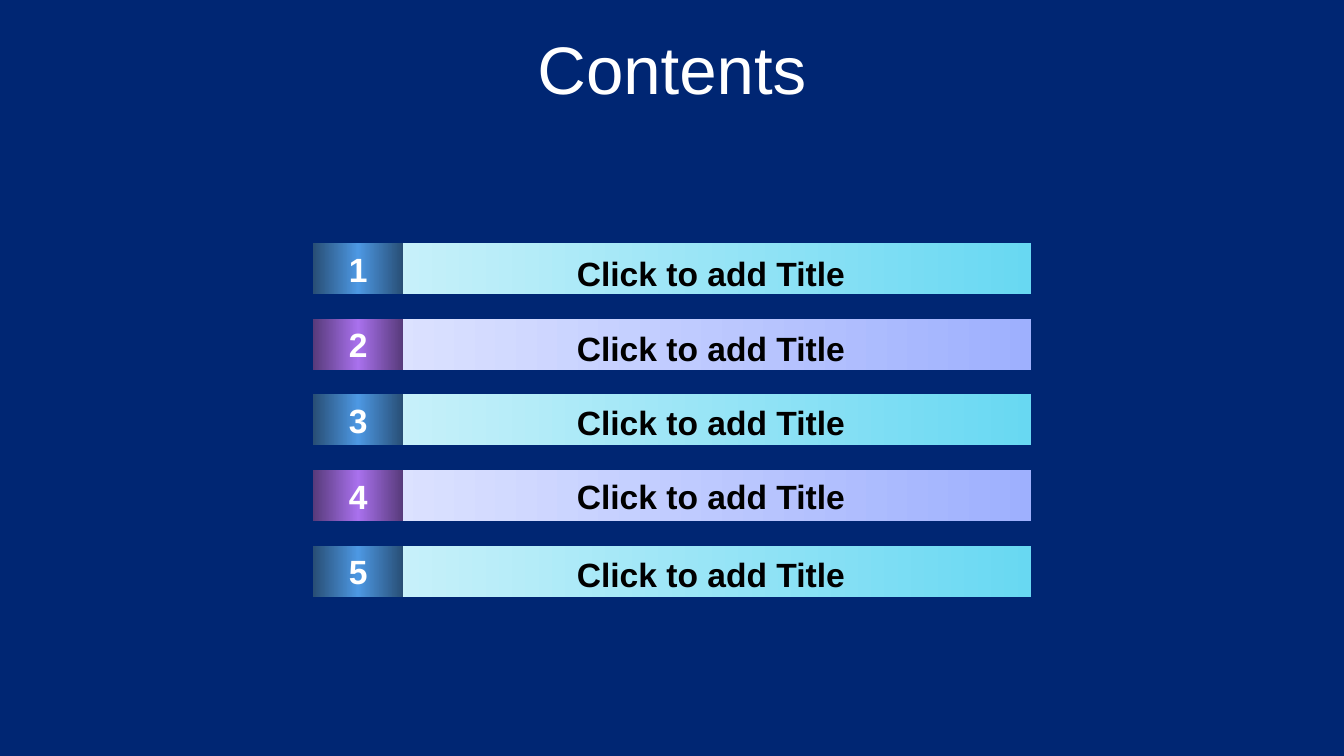
from copy import deepcopy

from pptx import Presentation
from pptx.dml.color import RGBColor
from pptx.enum.shapes import MSO_SHAPE
from pptx.enum.text import MSO_ANCHOR, MSO_AUTO_SIZE, PP_ALIGN
from pptx.oxml.ns import qn
from pptx.util import Inches, Pt

RECT = MSO_SHAPE.RECTANGLE
MIDDLE = MSO_ANCHOR.MIDDLE
CENTER = PP_ALIGN.CENTER
GROW = MSO_AUTO_SIZE.SHAPE_TO_FIT_TEXT

FONT = "Arial"
WIDE = 10
TALL = WIDE * 9 / 16
TOP, STEP, HIGH = 1.81, 2.25 / 4, 0.38
# Bar and badge gradients, taken in turn
THEMES = [
    (["C8F1FA", "68D8F2"], ["284E75", "4D98E3", "284E75"]),
    (["DCE2FF", "9EB0FE"], ["573A7A", "A971ED", "573A7A"]),
]
# Text and top of each label
ITEMS = [
    ("Click to add Title", 1.83),
    ("Click to add Title", 2.39),
    ("Click to add Title", 2.94),
    ("Click to add Title", 3.49),
    ("Click to add Title", 4.07),
]


def color(code):
    return RGBColor.from_string(code)


def box(left, top, width, height):
    return [Inches(n) for n in (left, top, width, height)]


def write(frame, text, size, code, bold):
    frame.text = text
    para = frame.paragraphs[0]
    para.alignment = CENTER
    font = para.runs[0].font
    font.name, font.size, font.bold = FONT, Pt(size), bold
    font.color.rgb = color(code)


def add_title(slide, text):
    title = slide.shapes.title
    title.left, title.top, title.width, title.height = box(0, 0.19, WIDE, 0.62)
    write(title.text_frame, text, 36, "FFFFFF", False)
    title.text_frame.vertical_anchor = MIDDLE


def blend(shape, codes):
    """Fill from left to right with evenly spaced colours."""
    fill = shape.fill
    fill.gradient()
    fill.gradient_angle = 0
    stops = shape.element.spPr.find(".//" + qn("a:gsLst"))
    while len(stops) < len(codes):
        stops.append(deepcopy(stops[-1]))
    for i, (stop, code) in enumerate(zip(fill.gradient_stops, codes)):
        stop.position = i / (len(codes) - 1)
        stop.color.rgb = color(code)


def add_block(group, left, top, width, codes):
    shape = group.shapes.add_shape(RECT, *box(left, top, width, HIGH))
    shape.shadow.inherit = False
    shape.line.fill.background()
    blend(shape, codes)
    return shape


def add_row(slide, index):
    bar, badge = THEMES[index % len(THEMES)]
    top = TOP + index * STEP
    group = slide.shapes.add_group_shape()
    add_block(group, 2.92, top, 4.75, bar)
    frame = add_block(group, 2.33, top, 0.67, badge).text_frame
    frame.word_wrap = False
    frame.vertical_anchor = MIDDLE
    write(frame, str(index + 1), 18, "FFFFFF", True)


def add_label(slide, text, top):
    frame = slide.shapes.add_textbox(*box(3.08, top, 4.42, 0.4)).text_frame
    frame.word_wrap = True
    frame.auto_size = GROW
    write(frame, text, 18, "000000", True)


def main():
    deck = Presentation()
    deck.slide_width, deck.slide_height = Inches(WIDE), Inches(TALL)
    slide = deck.slides.add_slide(deck.slide_layouts[5])
    slide.background.fill.solid()
    slide.background.fill.fore_color.rgb = color("002673")

    add_title(slide, "Contents")
    # Numbered bars, then the labels on top
    for index in range(len(ITEMS)):
        add_row(slide, index)
    for text, top in ITEMS:
        add_label(slide, text, top)

    deck.save("out.pptx")


if __name__ == "__main__":
    main()
